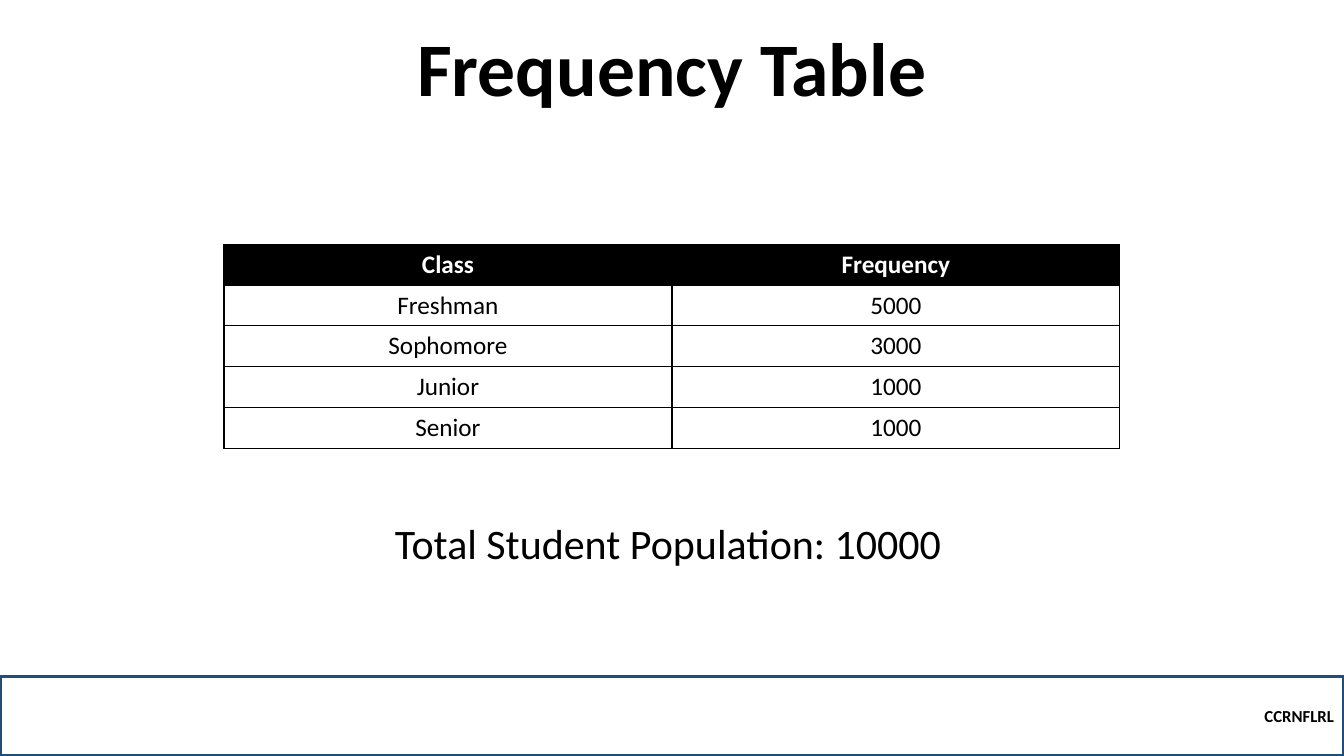
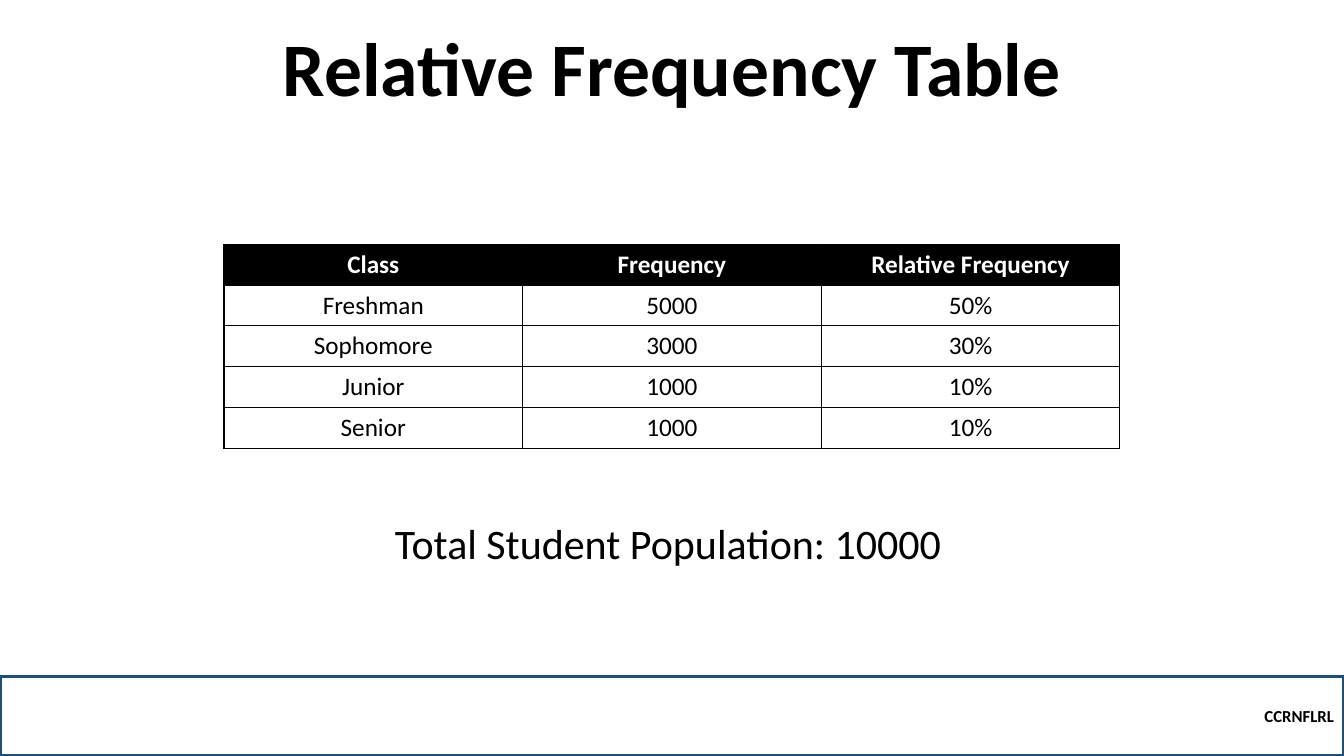
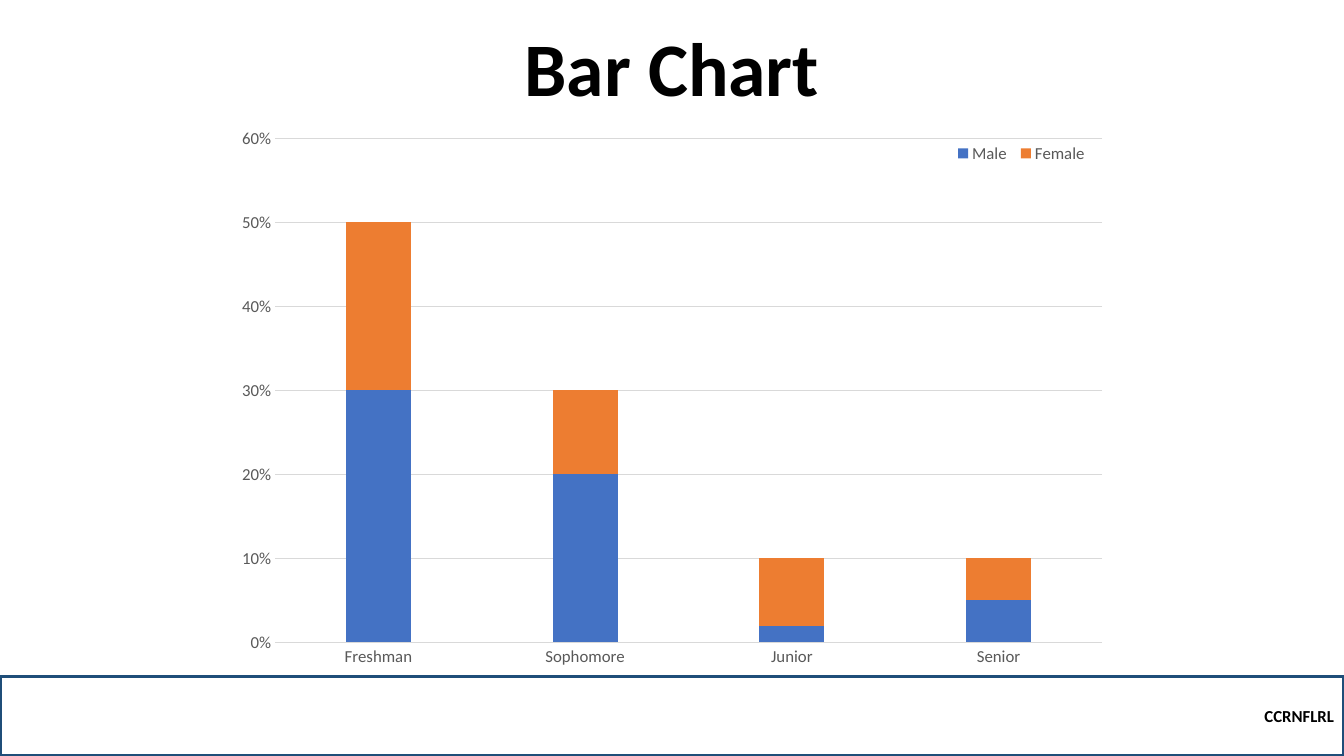
"""Build three slides on class frequencies: two tables and a stacked bar chart."""
import pptx
import pptx.chart.data
import pptx.dml.color
import pptx.enum.chart
import pptx.enum.shapes
import pptx.enum.text
import pptx.oxml
import pptx.oxml.ns
import pptx.util

Pt = pptx.util.Pt
ALIGN = pptx.enum.text.PP_ALIGN
ANCHOR = pptx.enum.text.MSO_ANCHOR
AUTO_SIZE = pptx.enum.text.MSO_AUTO_SIZE

FONT = "Calibri"
COLORS = {
    "text": "000000",
    "header_text": "FFFFFF",
    "band_line": "1F4E79",
    "axis_text": "595959",
    "grid": "D9D9D9",
    "Male": "4472C4",
    "Female": "ED7D31",
}
WIDTH, HEIGHT = 960, 540
BAND_TOP = 483
CONTENT_LEFT, CONTENT_WIDTH = 160, 640
TABLE_TOP, ROW_HEIGHT = 174.4, 29.2

BAND_TEXT = "CCRNFLRL"
POPULATION = 10000
CLASSES = ["Freshman", "Sophomore", "Junior", "Senior"]
FREQUENCIES = [5000, 3000, 1000, 1000]
SHARES = {"Male": [0.3, 0.2, 0.02, 0.05], "Female": [0.2, 0.1, 0.08, 0.05]}
COLUMNS = {
    "Class": CLASSES,
    "Frequency": FREQUENCIES,
    "Relative Frequency": [f"{count / POPULATION:.0%}" for count in FREQUENCIES],
}
TABLE_SLIDES = [
    ("Frequency Table", ["Class", "Frequency"]),
    ("Relative Frequency Table", ["Class", "Frequency", "Relative Frequency"]),
]
CHART_TITLE = "Bar Chart"
PLOT_LAYOUT = {"x": 0.057, "y": 0.035, "w": 0.923, "h": 0.843}
LEGEND_LAYOUT = {"x": 0.81, "y": 0.03, "w": 0.16, "h": 0.06}


def rgb(name):
    return pptx.dml.color.RGBColor.from_string(COLORS[name])


def style_font(font, size, color="text", bold=False):
    font.name, font.size, font.bold = FONT, Pt(size), bold
    font.color.rgb = rgb(color)


def write(frame, text, size, align, color="text", bold=False):
    frame.text = text
    paragraph = frame.paragraphs[0]
    paragraph.alignment = align
    style_font(paragraph.font, size, color, bold)
    return paragraph


def add_slide(deck, heading):
    slide = deck.slides.add_slide(deck.slide_layouts[5])
    title = slide.shapes.title
    title.left, title.top, title.width, title.height = map(Pt, (120, 27, 720, 57))
    title.text_frame.auto_size = AUTO_SIZE.NONE
    title.text_frame.vertical_anchor = ANCHOR.BOTTOM
    write(title.text_frame, heading, 54, ALIGN.CENTER, bold=True).line_spacing = 0.9

    band = slide.shapes.add_shape(
        pptx.enum.shapes.MSO_SHAPE.RECTANGLE,
        0, Pt(BAND_TOP), Pt(WIDTH), Pt(HEIGHT - BAND_TOP))
    band.shadow.inherit = False
    band.fill.background()
    band.line.color.rgb = rgb("band_line")
    band.line.width = Pt(2.25)
    band.text_frame.vertical_anchor = ANCHOR.MIDDLE
    write(band.text_frame, BAND_TEXT, 12, ALIGN.RIGHT, bold=True)
    return slide


def add_borders(cell):
    properties = cell._tc.get_or_add_tcPr()
    for side in "LRTB":
        properties.append(pptx.oxml.parse_xml(
            f'<a:ln{side} {pptx.oxml.ns.nsdecls("a")} w="{Pt(1)}"><a:solidFill>'
            f'<a:srgbClr val="{COLORS["text"]}"/></a:solidFill></a:ln{side}>'))


def add_frequency_table(slide, headers):
    rows = [headers, *zip(*(COLUMNS[header] for header in headers))]
    table = slide.shapes.add_table(
        len(rows), len(headers), Pt(CONTENT_LEFT), Pt(TABLE_TOP),
        Pt(CONTENT_WIDTH), Pt(ROW_HEIGHT * len(rows))).table
    table.horz_banding = False
    for row_index, values in enumerate(rows):
        is_header = row_index == 0
        table.rows[row_index].height = Pt(ROW_HEIGHT)
        for column_index, value in enumerate(values):
            cell = table.cell(row_index, column_index)
            add_borders(cell)
            if is_header:
                cell.fill.solid()
                cell.fill.fore_color.rgb = rgb("text")
            else:
                cell.fill.background()
            write(cell.text_frame, str(value), 18, ALIGN.CENTER,
                  "header_text" if is_header else "text", is_header)


def add_population(slide):
    population = slide.shapes.add_textbox(Pt(275), Pt(366.5), Pt(410), Pt(44)).text_frame
    population.word_wrap = True
    population.auto_size = AUTO_SIZE.SHAPE_TO_FIT_TEXT
    write(population, f"Total Student Population: {POPULATION}", 30, ALIGN.LEFT)


def set_layout(parent, position, inner=False):
    target = '<c:layoutTarget val="inner"/>' if inner else ""
    modes = "".join(f'<c:{axis}Mode val="edge"/>' for axis in "xy")
    values = "".join(f'<c:{key} val="{value}"/>' for key, value in position.items())
    for old in parent.findall(pptx.oxml.ns.qn("c:layout")):
        parent.remove(old)
    layout = pptx.oxml.parse_xml(
        f'<c:layout {pptx.oxml.ns.nsdecls("c")}><c:manualLayout>'
        f'{target}{modes}{values}</c:manualLayout></c:layout>')
    before = parent.find(pptx.oxml.ns.qn("c:legendPos"))
    parent.insert(0 if before is None else parent.index(before) + 1, layout)


def add_share_chart(slide):
    data = pptx.chart.data.CategoryChartData(number_format="0%")
    data.categories = CLASSES
    for group, shares in SHARES.items():
        data.add_series(group, shares)
    chart = slide.shapes.add_chart(
        pptx.enum.chart.XL_CHART_TYPE.COLUMN_STACKED, Pt(CONTENT_LEFT), Pt(84),
        Pt(CONTENT_WIDTH), Pt(427), data).chart
    style_font(chart.font, 10)
    chart.has_title = False

    bars = chart.plots[0]
    bars.gap_width, bars.overlap, bars.vary_by_categories = 219, 100, False
    for series in bars.series:
        series.format.fill.solid()
        series.format.fill.fore_color.rgb = rgb(series.name)

    classes, shares = chart.category_axis, chart.value_axis
    for axis in (classes, shares):
        axis.major_tick_mark = axis.minor_tick_mark = pptx.enum.chart.XL_TICK_MARK.NONE
        style_font(axis.tick_labels.font, 12, "axis_text")
    shares.minimum_scale, shares.maximum_scale, shares.major_unit = 0, 0.6, 0.1
    shares.tick_labels.number_format = "0%"
    shares.tick_labels.number_format_is_linked = False
    shares.format.line.fill.background()
    for line in (classes.format.line, shares.major_gridlines.format.line):
        line.color.rgb = rgb("grid")
        line.width = Pt(0.75)

    chart.has_legend = True
    chart.legend.position = pptx.enum.chart.XL_LEGEND_POSITION.BOTTOM
    chart.legend.include_in_layout = False
    style_font(chart.legend.font, 12, "axis_text")
    set_layout(chart.legend._element, LEGEND_LAYOUT)
    set_layout(chart._chartSpace.chart.plotArea, PLOT_LAYOUT, inner=True)


def main():
    deck = pptx.Presentation()
    deck.slide_width, deck.slide_height = Pt(WIDTH), Pt(HEIGHT)
    for heading, headers in TABLE_SLIDES:
        slide = add_slide(deck, heading)
        add_frequency_table(slide, headers)
        add_population(slide)
    add_share_chart(add_slide(deck, CHART_TITLE))
    deck.save("out.pptx")


if __name__ == "__main__":
    main()
